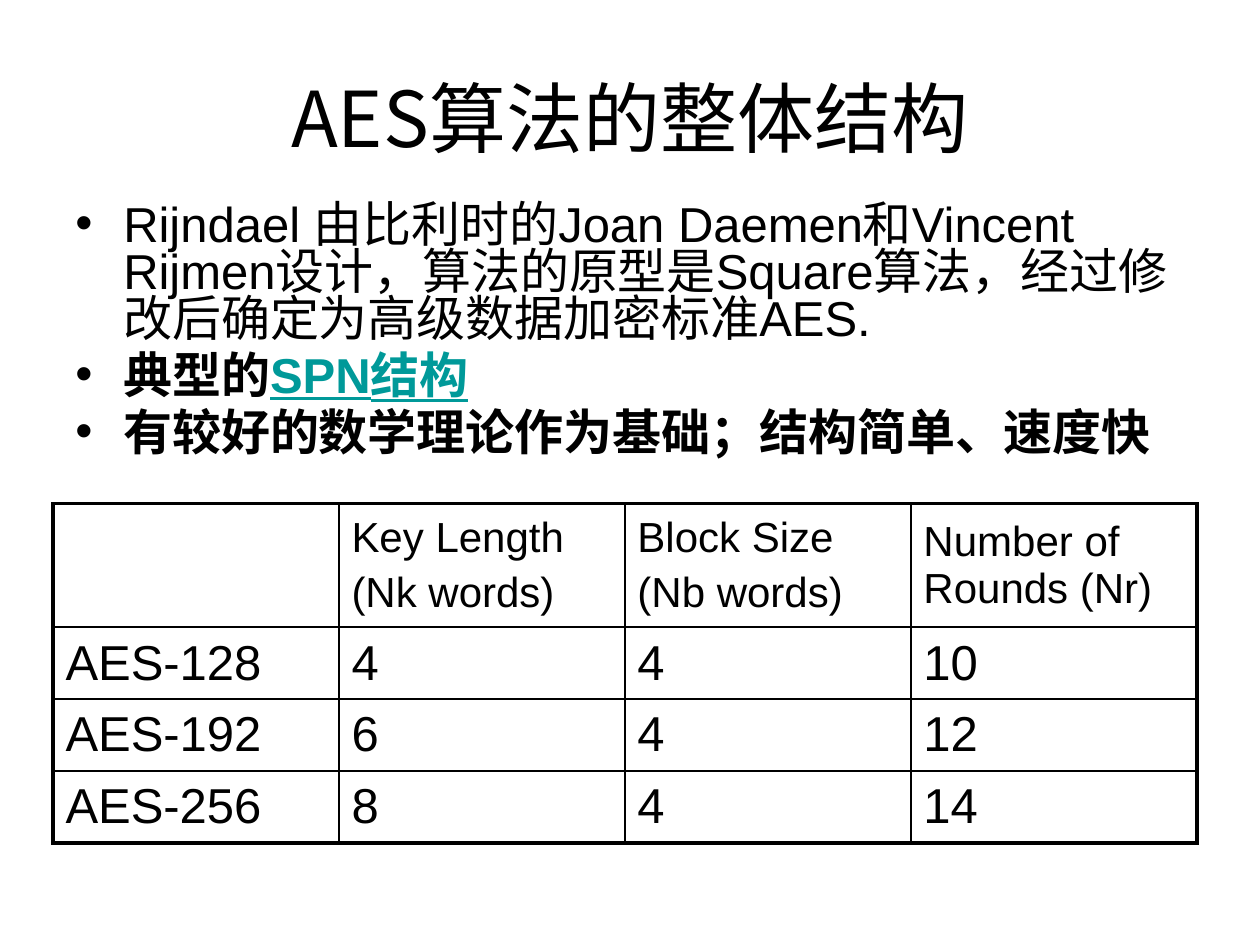
from lxml import etree
from pptx import Presentation
from pptx.dml.color import RGBColor
from pptx.enum.text import MSO_ANCHOR, PP_ALIGN
from pptx.oxml.ns import qn
from pptx.util import Emu, Inches, Pt

MIDDLE = MSO_ANCHOR.MIDDLE
CENTER = PP_ALIGN.CENTER
WIDTH, HEIGHT = Inches(10), Inches(7.5)
LATIN, CHINESE = "Arial", "Noto Sans CJK SC"
BLACK, TEAL = "000000", "009999"
THIN, THICK = 1, 2.25
SPACE_SHARE = 0.2

TITLE_BOX = (0.05, 0.04, 0.9, 0.167)
BODY_BOX = (0.05, 0.21, 0.908, 0.3)
TABLE_BOX = (0.042, 0.533, 0.908, 0.359)
ROW_SHARES = (0.364, 0.212, 0.212, 0.212)

TITLE = "AES算法的整体结构"
BULLETS = [
    [("Rijndael 由比利时的Joan Daemen和Vincent Rijmen设计，算法的原型是Square算法，"
      "经过修改后确定为高级数据加密标准AES.", {})],
    [("典型的", {"bold": True}),
     ("SPN结构", {"bold": True, "color": TEAL, "underline": True})],
    [("有较好的数学理论作为基础；结构简单、速度快", {"bold": True})],
]
ROWS = [
    [[], ["Key Length", "(Nk words)"], ["Block Size", "(Nb words)"], ["Number of Rounds (Nr)"]],
    [["AES-128"], ["4"], ["4"], ["10"]],
    [["AES-192"], ["6"], ["4"], ["12"]],
    [["AES-256"], ["8"], ["4"], ["14"]],
]


def rgb(value):
    """Turn a hex string into a colour."""
    return RGBColor.from_string(value)


def place(box):
    """Turn shares of the slide into left, top, width and height."""
    return [Emu(int(share * side)) for share, side in zip(box, (WIDTH, HEIGHT) * 2)]


def add_run(paragraph, text, size, font=LATIN, color=BLACK, bold=False, underline=False):
    """Add one run with its Latin and East Asian fonts."""
    run = paragraph.add_run()
    run.text = text
    run.font.size = Pt(size)
    run.font.bold = bold
    run.font.underline = underline
    run.font.color.rgb = rgb(color)
    run.font.name = font
    properties = run.font._element
    properties.find(qn("a:latin")).addnext(
        etree.Element(qn("a:ea"), typeface=CHINESE))


def add_paragraph(frame, index):
    """Return the first paragraph of a frame or append a new one."""
    return frame.add_paragraph() if index else frame.paragraphs[0]


def add_bullet(paragraph):
    """Give a paragraph a hanging bullet."""
    properties = paragraph._p.get_or_add_pPr()
    properties.set("marL", str(Inches(0.38)))
    properties.set("indent", str(-Inches(0.38)))
    etree.SubElement(properties, qn("a:buFont"), typeface=LATIN)
    etree.SubElement(properties, qn("a:buChar"), char="•")


def add_title(slide, box):
    """Place the centred title."""
    frame = slide.shapes.add_textbox(*place(box)).text_frame
    frame.word_wrap = True
    frame.vertical_anchor = MIDDLE
    paragraph = frame.paragraphs[0]
    paragraph.alignment = CENTER
    add_run(paragraph, TITLE, 44, font=CHINESE)


def add_body(slide, box, size=28):
    """Place the bulleted text."""
    frame = slide.shapes.add_textbox(*place(box)).text_frame
    frame.word_wrap = True
    for index, runs in enumerate(BULLETS):
        paragraph = add_paragraph(frame, index)
        paragraph.line_spacing = 0.8
        paragraph.space_before = Pt(size * SPACE_SHARE)
        add_bullet(paragraph)
        for text, style in runs:
            add_run(paragraph, text, size, **style)


def set_borders(cell, widths):
    """Draw the four borders of a cell in the given widths."""
    properties = cell._tc.get_or_add_tcPr()
    for side, width in widths.items():
        line = etree.SubElement(properties, qn(f"a:ln{side}"), w=str(Pt(width)))
        fill = etree.SubElement(line, qn("a:solidFill"))
        etree.SubElement(fill, qn("a:srgbClr"), val=BLACK)


def fill_cell(cell, lines, size):
    """Write the lines of a cell, one paragraph each."""
    cell.vertical_anchor = MIDDLE
    cell.fill.background()
    for index, text in enumerate(lines):
        paragraph = add_paragraph(cell.text_frame, index)
        paragraph.space_before = Pt(size * SPACE_SHARE)
        add_run(paragraph, text, size)


def add_variant_table(slide, box):
    """Place the table of AES variants with a thick outer frame."""
    left, top, width, height = place(box)
    last_row, last_column = len(ROWS) - 1, len(ROWS[0]) - 1
    table = slide.shapes.add_table(
        len(ROWS), len(ROWS[0]), left, top, width, height).table
    table.first_row = table.horz_banding = False
    for row, share in zip(table.rows, ROW_SHARES):
        row.height = Emu(int(height * share))
    for r, row in enumerate(ROWS):
        for c, lines in enumerate(row):
            cell = table.cell(r, c)
            edges = {"L": c == 0, "R": c == last_column, "T": r == 0, "B": r == last_row}
            set_borders(cell, {side: THICK if outer else THIN
                               for side, outer in edges.items()})
            fill_cell(cell, lines, 28 if r else 24)


def main():
    """Build and save the slide."""
    presentation = Presentation()
    presentation.slide_width, presentation.slide_height = WIDTH, HEIGHT
    slide = presentation.slides.add_slide(presentation.slide_layouts[6])
    add_title(slide, TITLE_BOX)
    add_body(slide, BODY_BOX)
    add_variant_table(slide, TABLE_BOX)
    presentation.save("out.pptx")


if __name__ == "__main__":
    main()
